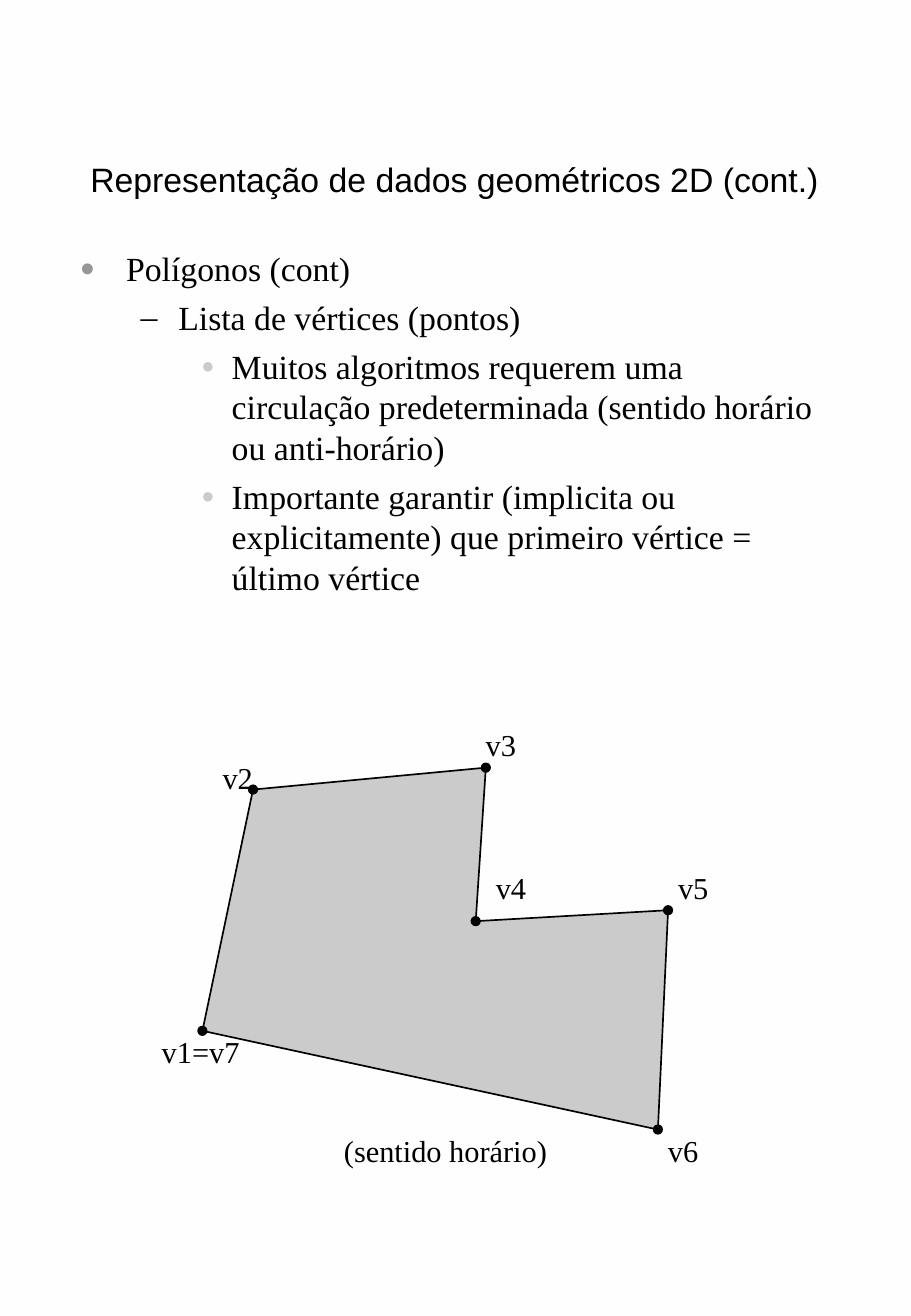
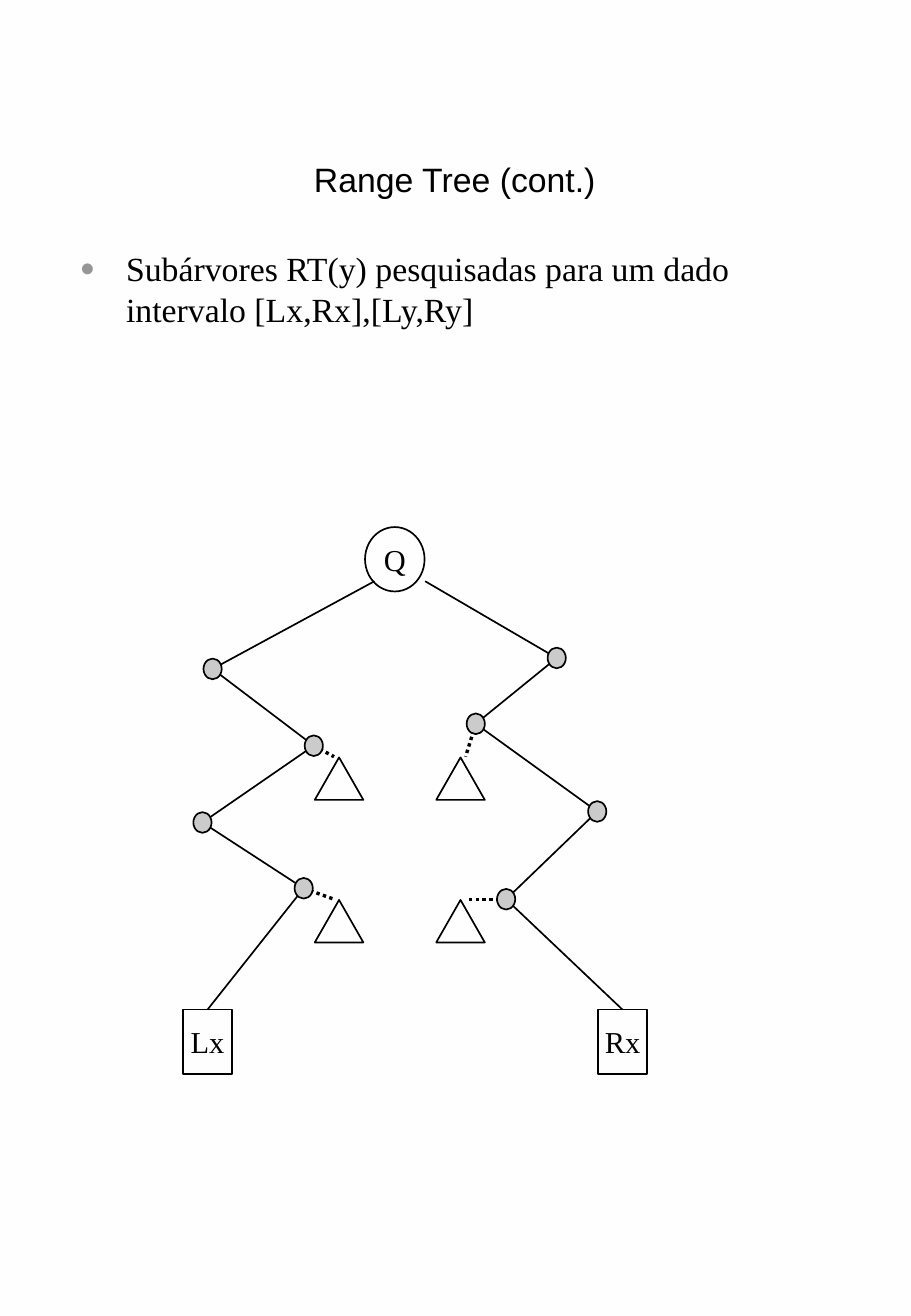
from dataclasses import dataclass

from lxml.etree import SubElement as Sub
from pptx import Presentation
from pptx.dml.color import RGBColor as RGB
from pptx.enum.dml import MSO_LINE as Dash
from pptx.enum.shapes import MSO_CONNECTOR as Conn, MSO_SHAPE as Kind
from pptx.enum.text import MSO_ANCHOR as Anchor, MSO_AUTO_SIZE as Fit, PP_ALIGN as Align
from pptx.oxml.ns import qn
from pptx.util import Inches, Pt

WIDE, HIGH = Inches(7.5), Inches(10.83)
COLS, ROWS = 90, 120


@dataclass(frozen=True)
class Theme:
    ink: str = "000000"
    gray: str = "CBCBCB"
    mark: str = "969696"
    glow: tuple = ("FEFEFE", "FFFFFF")
    head: str = "Arial"
    text: str = "Times New Roman"
    big: int = 20
    small: int = 18
    lead: int = 24
    gap: int = 5
    thin: int = 1
    bold: int = 2


THEME = Theme()
BULLETS = (
    (0.38, 0.38, "●", THEME.mark, 75),
    (0.81, 0.31, "–", THEME.ink, 100),
    (1.25, 0.25, "●", THEME.gray, 65),
)


def col(n):
    return round(WIDE * n / COLS)


def row(n):
    return round(HIGH * n / ROWS)


def spot(point):
    return col(point[0]), row(point[1])


def tune(item, **vals):
    for name, val in vals.items():
        setattr(item, name, val)


def ink(font, size, face):
    tune(font, size=Pt(size), name=face)
    font.color.rgb = RGB.from_string(THEME.ink)


def stroke(line, width=THEME.thin):
    line.color.rgb = RGB.from_string(THEME.ink)
    line.width = Pt(width)


def paint(shape, fill=None):
    shape.shadow.inherit = False
    if fill:
        shape.fill.solid()
        shape.fill.fore_color.rgb = RGB.from_string(fill)
    else:
        shape.fill.background()
    stroke(shape.line)


def figure(slide, kind, mid, size, fill=None, text=None):
    x, y = spot(mid)
    w, h = map(Inches, size)
    shape = slide.shapes.add_shape(kind, x - w // 2, y - h // 2, w, h)
    paint(shape, fill)
    if text:
        frame = shape.text_frame
        tune(frame, word_wrap=False, vertical_anchor=Anchor.MIDDLE,
             margin_left=0, margin_right=0, margin_top=0, margin_bottom=0)
        para = frame.paragraphs[0]
        tune(para, text=text, alignment=Align.CENTER)
        ink(para.font, THEME.small, THEME.text)
    return shape


def link(slide, start, end, width=THEME.thin, dash=None, box=None):
    line = slide.shapes.add_connector(Conn.STRAIGHT, *spot(start), *spot(end))
    stroke(line.line, width)
    line.line.dash_style = dash
    Sub(line._element.spPr, qn("a:effectLst"))
    if box is not None:
        line.end_connect(box, 0)


def label(slide, text, place, width=0.45):
    x, y = place
    box = slide.shapes.add_textbox(col(x - 0.2), row(y - 0.3), Inches(width), Inches(0.4))
    tune(box.text_frame, word_wrap=False, auto_size=Fit.SHAPE_TO_FIT_TEXT)
    para = box.text_frame.paragraphs[0]
    para.text = text
    ink(para.font, THEME.small, THEME.text)


def bullet(para, level):
    left, hang, char, color, size = BULLETS[level]
    props = para._p.get_or_add_pPr()
    props.set("marL", str(Inches(left)))
    props.set("indent", str(-Inches(hang)))
    Sub(Sub(props, qn("a:buClr")), qn("a:srgbClr"), val=color)
    Sub(props, qn("a:buSzPct"), val=str(size * 1000))
    Sub(props, qn("a:buFont"), typeface=THEME.text)
    Sub(props, qn("a:buChar"), char=char)
    para.level = level


def body(slide, items, height):
    box = slide.shapes.add_textbox(Inches(0.56), Inches(1.99), Inches(6.37), Inches(height))
    frame = box.text_frame
    frame.word_wrap = True
    for n, (level, text) in enumerate(items):
        para = frame.add_paragraph() if n else frame.paragraphs[0]
        para.text = text
        bullet(para, level)
        tune(para, line_spacing=Pt(THEME.lead), space_before=Pt(THEME.gap if n else 0))
        ink(para.font, THEME.big, THEME.text)


def page(deck, title):
    slide = deck.slides.add_slide(deck.slide_layouts[5])
    head = slide.shapes.title
    tune(head, left=Inches(0.56), top=Inches(0.96), width=Inches(6.37), height=Inches(1.02))
    tune(head.text_frame, word_wrap=True, auto_size=Fit.NONE, vertical_anchor=Anchor.MIDDLE)
    para = head.text_frame.paragraphs[0]
    tune(para, text=title, alignment=Align.CENTER)
    ink(para.font, THEME.big, THEME.head)
    return slide


def backdrop(deck):
    fill = deck.slide_master.background.fill
    fill.gradient()
    fill.gradient_angle = 180
    for n, (stop, color) in enumerate(zip(fill.gradient_stops, THEME.glow)):
        stop.color.rgb = RGB.from_string(color)
        stop.position = n


def polygon(slide):
    points = (
        ("v1=v7", (20, 94), (15, 94), 0.84),
        ("v2", (25, 72), (21, 69), 0.45),
        ("v3", (48, 70), (47, 66), 0.45),
        ("v4", (47, 84), (48, 79), 0.45),
        ("v5", (66, 83), (66, 79), 0.45),
        ("v6", (65, 103), (65, 103), 0.45),
    )
    first, *rest = [spot(dot) for _, dot, _, _ in points]
    path = slide.shapes.build_freeform(*first, scale=1.0)
    path.add_line_segments(rest, close=True)
    paint(path.convert_to_shape(), THEME.gray)
    for name, dot, place, width in points:
        label(slide, name, place, width)
        figure(slide, Kind.OVAL, dot, (0.07, 0.07), THEME.ink)
    label(slide, "(sentido horário)", (33, 103), 1.87)


def branch(slide, start, nodes, twig, tree, leaf, name):
    box = figure(slide, Kind.RECTANGLE, (leaf, 95), (0.4, 0.53), text=name)
    for a, b in zip((start, *nodes), nodes):
        link(slide, a, b)
    link(slide, nodes[-1], (leaf, 92), box=box)
    for node, top in zip(nodes[1::2], (69, 82)):
        figure(slide, Kind.ISOSCELES_TRIANGLE, (tree, top + 2), (0.4, 0.35))
        link(slide, node, (twig, top), THEME.bold, Dash.ROUND_DOT)
    for node in nodes:
        figure(slide, Kind.OVAL, node, (0.15, 0.17), THEME.gray)


def main():
    deck = Presentation()
    tune(deck, slide_width=WIDE, slide_height=HIGH)
    backdrop(deck)

    slide = page(deck, "Representação de dados geométricos 2D (cont.)")
    body(slide, (
        (0, "Polígonos (cont)"),
        (1, "Lista de vértices (pontos)"),
        (2, "Muitos algoritmos requerem uma circulação predeterminada "
            "(sentido horário ou anti-horário)"),
        (2, "Importante garantir (implicita ou explicitamente) que "
            "primeiro vértice = último vértice"),
    ), 7.64)
    polygon(slide)

    slide = page(deck, "Range Tree (cont.)")
    body(slide, (
        (0, "Subárvores RT(y) pesquisadas para um dado intervalo [Lx,Rx],[Ly,Ry]"),
    ), 0.99)
    figure(slide, Kind.OVAL, (39, 51), (0.49, 0.53), text="Q")
    branch(slide, (37, 53), ((21, 61), (31, 68), (20, 75), (30, 81)),
           33, 33.5, 20.5, "Lx")
    branch(slide, (42, 53), ((55, 60), (47, 66), (59, 74), (50, 82)),
           46, 45.5, 61.5, "Rx")

    deck.save("out.pptx")


if __name__ == "__main__":
    main()
